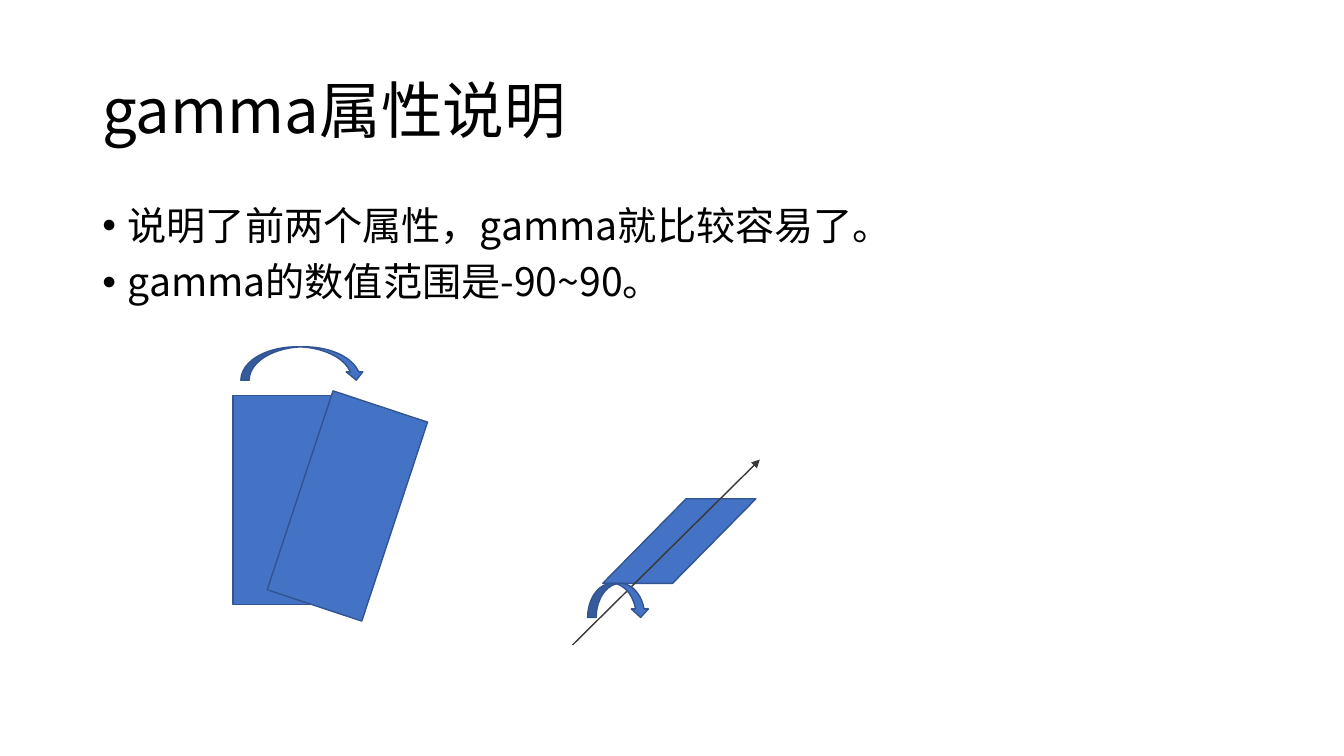
from lxml import etree
from pptx import Presentation
from pptx.dml.color import RGBColor
from pptx.enum import shapes, text
from pptx.oxml import ns
from pptx.util import Cm, Pt

BLACK = RGBColor(0x00, 0x00, 0x00)
BLUE = RGBColor(0x44, 0x72, 0xC4)
DARK_BLUE = RGBColor(0x32, 0x54, 0x91)
AXIS_GRAY = RGBColor(0x3B, 0x38, 0x38)
FONT = "Noto Sans CJK SC"
SHAPE = shapes.MSO_SHAPE


def add_text(slide, box, lines, size, anchor=text.MSO_ANCHOR.TOP,
             space_before=0, bullet=None):
    tf = slide.shapes.add_textbox(*map(Cm, box)).text_frame
    tf.word_wrap = True
    tf.vertical_anchor = anchor
    for i, line in enumerate(lines):
        p = tf.paragraphs[0] if i == 0 else tf.add_paragraph()
        if bullet:
            pPr = p._p.get_or_add_pPr()
            pPr.set("marL", str(Cm(0.64)))
            pPr.set("indent", str(-Cm(0.64)))
            etree.SubElement(pPr, ns.qn("a:buFont"), typeface="Arial")
            etree.SubElement(pPr, ns.qn("a:buChar"), char=bullet)
        p.line_spacing = 0.9
        if i:
            p.space_before = Pt(space_before)
        r = p.add_run()
        r.text = line
        r.font.size = Pt(size)
        r.font.name = FONT
        r.font.color.rgb = BLACK
        etree.SubElement(r._r.get_or_add_rPr(), ns.qn("a:ea"), typeface=FONT)


def add_blue_shape(slide, kind, left, top, width, height, rotation=0):
    sp = slide.shapes.add_shape(kind, Cm(left), Cm(top), Cm(width), Cm(height))
    sp.shadow.inherit = False
    sp.fill.solid()
    sp.fill.fore_color.rgb = BLUE
    sp.line.color.rgb = DARK_BLUE
    sp.line.width = Pt(1)
    sp.rotation = rotation
    return sp


def add_axis(slide, x1, y1, x2, y2):
    """Draw a thin line with an arrowhead at its end."""
    axis = slide.shapes.add_connector(
        shapes.MSO_CONNECTOR.STRAIGHT, Cm(x1), Cm(y1), Cm(x2), Cm(y2))
    axis.line.color.rgb = AXIS_GRAY
    axis.line.width = Pt(1)
    etree.SubElement(axis.line._get_or_add_ln(), ns.qn("a:tailEnd"),
                     type="triangle")
    etree.SubElement(axis._element.spPr, ns.qn("a:effectLst"))


def add_flat_rotation(slide, x, y):
    """Show a sheet before and after a turn in its own plane."""
    sheet = 2.51, 5.28
    add_blue_shape(slide, SHAPE.CURVED_DOWN_ARROW, x + 0.2, y, 3.12, 0.84)
    add_blue_shape(slide, SHAPE.FLOWCHART_PROCESS, x, y + 1.22, *sheet)
    add_blue_shape(slide, SHAPE.FLOWCHART_PROCESS, x + 1.63, y + 1.37, *sheet,
                   rotation=18.3)


def add_axis_rotation(slide, x, y, width, height):
    """Show a lying sheet that turns around its long axis."""
    sheet = add_blue_shape(slide, SHAPE.PARALLELOGRAM,
                           x + 0.76, y + 0.99, 3.86, 2.13)
    sheet.adjustments[0] = 0.986
    add_axis(slide, x, y + height, x + width, y)
    add_blue_shape(slide, SHAPE.CURVED_DOWN_ARROW,
                   x + 0.38, y + 3.12, 1.55, 0.86)


def main():
    prs = Presentation()
    prs.slide_width, prs.slide_height = Cm(33.87), Cm(19.05)
    slide = prs.slides.add_slide(prs.slide_layouts[6])
    add_text(slide, (2.33, 1.01, 29.21, 3.68), ["gamma属性说明"], 44,
             anchor=text.MSO_ANCHOR.MIDDLE)
    add_text(slide, (2.33, 5.08, 29.21, 12.09),
             ["说明了前两个属性，gamma就比较容易了。",
              "gamma的数值范围是-90~90。"],
             28, space_before=10, bullet="•")
    add_flat_rotation(slide, 5.87, 8.74)
    add_axis_rotation(slide, 14.43, 11.58, 4.72, 4.67)
    prs.save("out.pptx")


if __name__ == "__main__":
    main()
